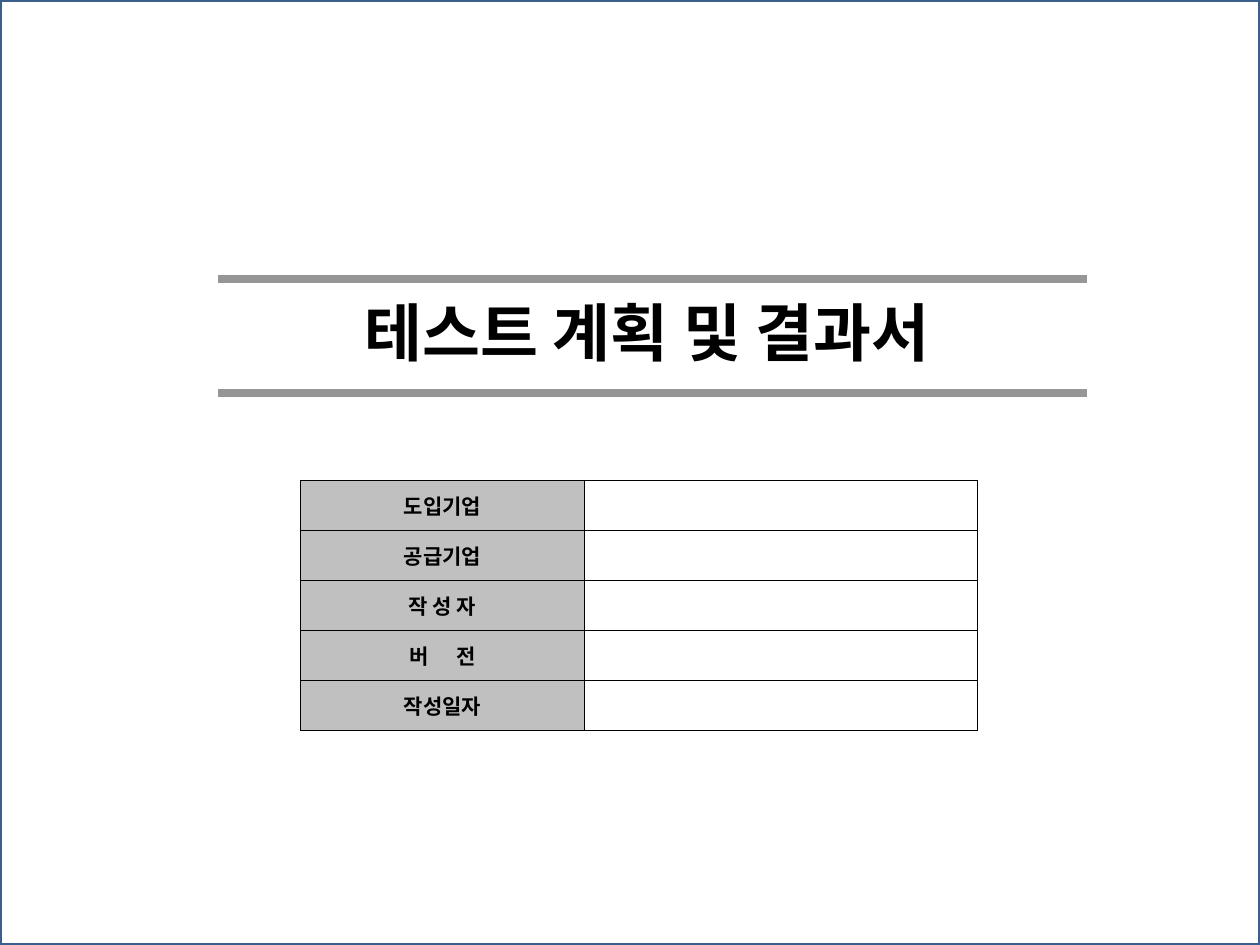
from lxml.etree import SubElement
from pptx import Presentation
from pptx.dml.color import RGBColor
from pptx.enum.shapes import MSO_CONNECTOR as CONN, MSO_SHAPE as SHAPE
from pptx.enum.text import MSO_ANCHOR as ANCHOR, PP_ALIGN as ALIGN
from pptx.oxml.ns import qn
from pptx.util import Pt

# Content: each label is a list of (text, letter spacing in points)
TITLE = "테스트 계획 및 결과서 "
LABELS = [
    [("도입기업", 0)],
    [("공급기업", 0)],
    [("작 성 자", 0)],
    [("버", 0), (" ", 13), ("전", 0)],
    [("작성일자", 0)],
]

# Layout in points
WIDTH, HEIGHT = 720, 540
RULE_LEFT, RULE_RIGHT, RULE_TOPS = 124.8, 621, (159.4, 224.6)
TITLE_BOX = (116, 167.8, 515.5, 42.5)
TABLE_LEFT, TABLE_TOP = 171.8, 274.5
COL_WIDTHS, ROW_HEIGHT = (162.2, 224.8), 28.6


def rgb(color):
    return RGBColor.from_string(color)


def add_run(p, text, size, spacing=0):
    r = p.add_run()
    r.text = text
    r.font.name, r.font.size, r.font.bold = "Arial", Pt(size), True
    r.font.color.rgb = rgb("000000")
    if spacing:
        r.font._element.set("spc", str(spacing * 100))


def set_borders(cell, widths):
    props = cell._tc.get_or_add_tcPr()
    for i, (side, width) in enumerate(widths.items()):
        ln = props.makeelement(qn(f"a:ln{side}"), {"w": str(Pt(width))})
        fill = SubElement(ln, qn("a:solidFill"))
        SubElement(fill, qn("a:srgbClr"), val="000000")
        props.insert(i, ln)  # borders precede the cell fill


prs = Presentation()
prs.slide_width, prs.slide_height = Pt(WIDTH), Pt(HEIGHT)
s = prs.slides.add_slide(prs.slide_layouts[6])

# Page frame
frame = s.shapes.add_shape(SHAPE.RECTANGLE, 0, 0, Pt(WIDTH), Pt(HEIGHT))
frame.shadow.inherit = False
frame.fill.solid()
frame.fill.fore_color.rgb = rgb("FFFFFF")
frame.line.color.rgb = rgb("3A5F8C")
frame.line.width = Pt(2)

# Rules above and below the title
for y in RULE_TOPS:
    rule = s.shapes.add_connector(
        CONN.STRAIGHT, Pt(RULE_LEFT), Pt(y), Pt(RULE_RIGHT), Pt(y))
    rule.line.color.rgb = rgb("969696")
    rule.line.width = Pt(4.5)
    SubElement(rule._element.spPr, qn("a:effectLst"))

# Title
tf = s.shapes.add_textbox(*map(Pt, TITLE_BOX)).text_frame
tf.word_wrap = True
tf.vertical_anchor = ANCHOR.MIDDLE
p = tf.paragraphs[0]
p.alignment = ALIGN.CENTER
add_run(p, TITLE, 36)

# Document information table
rows, cols = len(LABELS), len(COL_WIDTHS)
table = s.shapes.add_table(
    rows, cols, Pt(TABLE_LEFT), Pt(TABLE_TOP),
    Pt(sum(COL_WIDTHS)), Pt(rows * ROW_HEIGHT)).table
table.first_row = table.horz_banding = False
for col, width in zip(table.columns, COL_WIDTHS):
    col.width = Pt(width)
for i, label in enumerate(LABELS):
    table.rows[i].height = Pt(ROW_HEIGHT)
    for j in range(cols):
        cell = table.cell(i, j)
        cell.margin_left = cell.margin_right = 0
        cell.margin_top = cell.margin_bottom = 0
        cell.vertical_anchor = ANCHOR.MIDDLE
        cell.fill.solid()
        cell.fill.fore_color.rgb = rgb("FFFFFF" if j else "C0C0C0")
        set_borders(cell, {
            "L": 0.5 if j else 1, "R": 0.5,
            "T": 0.5 if i else 1, "B": 1 if i == rows - 1 else 0.5})
    p = table.cell(i, 0).text_frame.paragraphs[0]
    p.alignment = ALIGN.CENTER
    for text, spacing in label:
        add_run(p, text, 12, spacing)

prs.save("out.pptx")
